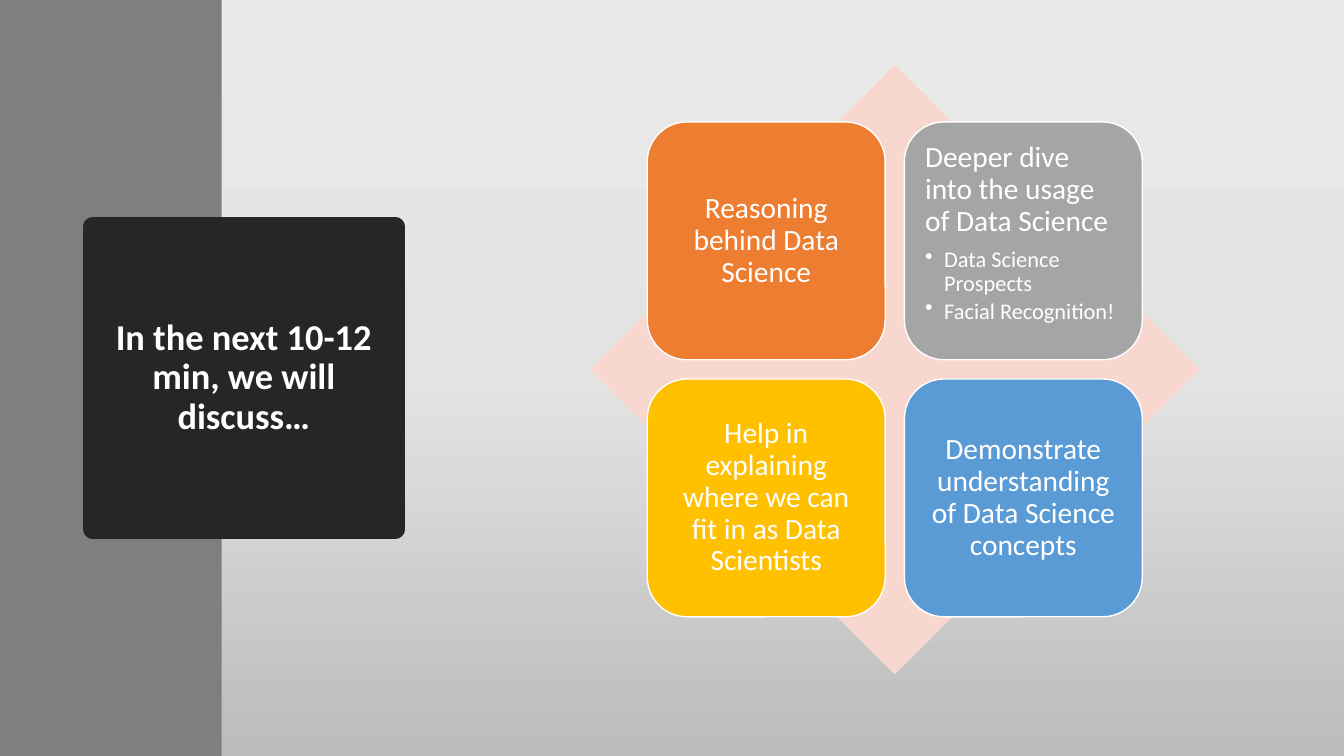
from copy import deepcopy

from lxml import etree
from pptx import Presentation
from pptx import util as u
from pptx.dml.color import RGBColor
from pptx.enum import shapes, text
from pptx.oxml.ns import qn

SHAPE = shapes.MSO_SHAPE
ALIGN = text.PP_ALIGN
ANCHOR = text.MSO_ANCHOR
COLS, ROWS = 133.3, 75


def rgb(code):
    return RGBColor.from_string(code)


class Deck:
    """Style and current slide; lengths are grid columns and rows."""

    font = "Calibri"
    ink = "FFFFFF"

    def __init__(self):
        self.prs = Presentation()
        self.prs.slide_width = u.Inches(13.33)
        self.prs.slide_height = u.Inches(7.5)
        self.slide = self.prs.slides.add_slide(self.prs.slide_layouts[5])

    def box(self, x, y, w, h):
        col, row = self.prs.slide_width / COLS, self.prs.slide_height / ROWS
        return [u.Emu(round(n)) for n in (x * col, y * row, w * col, h * row)]

    def back(self, stops):
        fill = self.slide.background.fill
        fill.gradient()
        fill.gradient_angle = 270
        items = self.slide.element.xpath(".//p:bg//a:gsLst")[0]
        while len(items) < len(stops):
            items.append(deepcopy(items[0]))
        for stop, (pos, code) in zip(fill.gradient_stops, stops):
            stop.position = pos
            stop.color.rgb = rgb(code)

    def paint(self, item, fill, line=None, width=1):
        item.fill.solid()
        item.fill.fore_color.rgb = rgb(fill)
        if line:
            item.line.color.rgb = rgb(line)
            item.line.width = u.Pt(width)
        else:
            item.line.fill.background()

    def shape(self, kind, place, fill, line=None):
        item = self.slide.shapes.add_shape(kind, *self.box(*place))
        item.shadow.inherit = False
        self.paint(item, fill, line)
        return item

    def style(self, para, size, align, after=0, bold=False):
        para.alignment = align
        para.line_spacing = 0.9
        para.space_after = u.Pt(size * after)
        para.font.name = self.font
        para.font.size = u.Pt(size)
        para.font.bold = bold
        para.font.color.rgb = rgb(self.ink)

    def title(self, words, place, fill, under):
        item = self.slide.shapes.title
        item.left, item.top, item.width, item.height = self.box(*place)
        self.paint(item, fill, fill, 13.75)
        under.element.addnext(item.element)
        frame = item.text_frame
        frame.text = words
        frame.word_wrap = True
        frame.auto_size = text.MSO_AUTO_SIZE.NONE
        frame.vertical_anchor = ANCHOR.MIDDLE
        self.style(frame.paragraphs[0], 26, ALIGN.CENTER, bold=True)

    def bullet(self, para):
        props = para._p.get_or_add_pPr()
        props.set("marL", str(u.Inches(0.19)))
        props.set("indent", str(-u.Inches(0.19)))
        etree.SubElement(props, qn("a:buChar")).set("char", "•")

    def tile(self, place, fill, words, points):
        frame = self.shape(SHAPE.ROUNDED_RECTANGLE, place, fill, self.ink).text_frame
        frame.word_wrap = True
        frame.margin_left = frame.margin_right = u.Inches(0.09)
        frame.margin_top = frame.margin_bottom = u.Inches(0.09)
        frame.vertical_anchor = ANCHOR.TOP if points else ANCHOR.MIDDLE
        head = frame.paragraphs[0]
        head.text = words
        self.style(head, 21, ALIGN.LEFT if points else ALIGN.CENTER, 0.35)
        for point in points:
            para = frame.add_paragraph()
            para.text = point
            para.level = 1
            self.style(para, 16, ALIGN.LEFT, 0.15)
            self.bullet(para)


TOPICS = [
    ("ED7D31", "Reasoning behind Data Science", []),
    ("A5A5A5", "Deeper dive into the usage of Data Science",
     ["Data Science Prospects", "Facial Recognition!"]),
    ("FFC000", "Help in explaining where we can fit in as Data Scientists", []),
    ("5B9BD5", "Demonstrate understanding of Data Science concepts", []),
]


def main():
    deck = Deck()

    # Backdrop and side band
    deck.back([(0, "EBEAEA"), (0.5, "E4E3E3"), (1, "BDBCBC")])
    band = deck.shape(SHAPE.RECTANGLE, (0, 0, 22, ROWS), "7F7F7F")

    # Title block
    deck.title("In the next 10-12 min, we will discuss…",
               (9.2, 22.5, 30, 30), "262626", band)

    # Diamond with a two-by-two set of topics
    deck.shape(SHAPE.DIAMOND, (58.5, 6.4, 60.5, 60.5), "F8D7CE")
    side, step = 23.6, 25.5
    for i, (fill, words, points) in enumerate(TOPICS):
        row, col = divmod(i, 2)
        place = (64.2 + col * step, 12.1 + row * step, side, side)
        deck.tile(place, fill, words, points)

    deck.prs.save("out.pptx")


if __name__ == "__main__":
    main()
